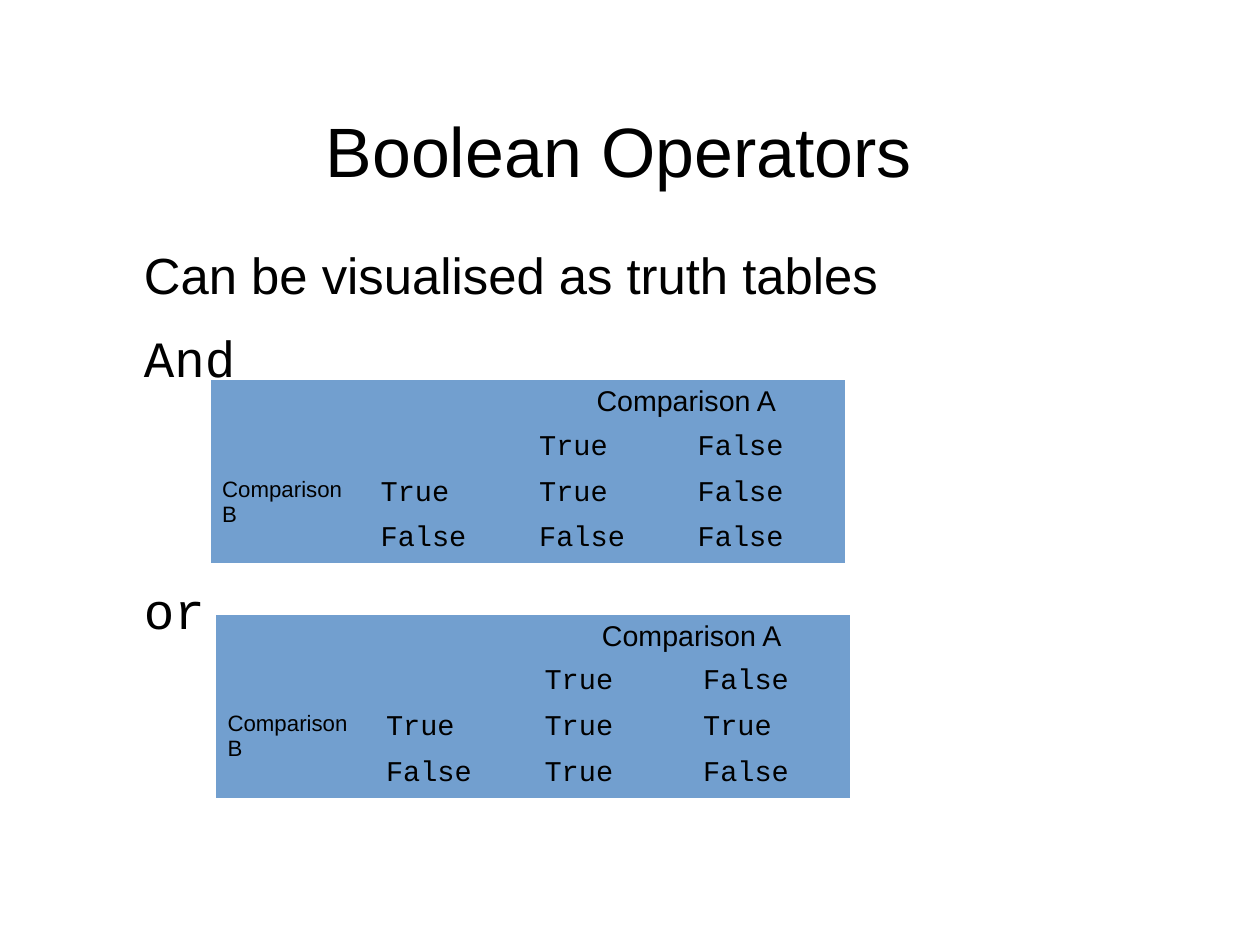
from dataclasses import dataclass

from pptx import Presentation
from pptx.dml.color import RGBColor
from pptx.enum.text import MSO_ANCHOR, PP_ALIGN
from pptx.util import Cm, Pt

CENTER, LEFT = PP_ALIGN.CENTER, PP_ALIGN.LEFT
TOP, MIDDLE = MSO_ANCHOR.TOP, MSO_ANCHOR.MIDDLE
SLIDE_W, SLIDE_H = Cm(28), Cm(21)
TITLE_ONLY = 5
NO_GRID_STYLE = "{2D5ABB26-0587-4C30-8999-92F81FD0307C}"


@dataclass(frozen=True)
class Theme:
    text: RGBColor = RGBColor(0, 0, 0)
    cell: RGBColor = RGBColor(0x72, 0x9F, 0xCF)
    sans: str = "Arial"
    mono: str = "Courier New"
    title_size: int = 44
    body_size: int = 32
    cell_size: int = 18
    side_size: int = 14


@dataclass(frozen=True)
class Box:
    """Area in percent of the slide's width and height."""
    left: float
    top: float
    width: float
    height: float

    def emu(self) -> tuple[int, int, int, int]:
        return (int(SLIDE_W * self.left / 100), int(SLIDE_H * self.top / 100),
                int(SLIDE_W * self.width / 100), int(SLIDE_H * self.height / 100))


@dataclass(frozen=True)
class BodyLine:
    text: str
    font: str
    space_before: float


@dataclass(frozen=True)
class TruthTable:
    box: Box
    results: tuple[tuple[bool, ...], ...]


THEME = Theme()
VALUES = (True, False)
TABLE_W, TABLE_H = 50.33, 19.35
TITLE_BOX = Box(7.17, 9.07, 83.94, 13.54)
BODY_BOX = Box(11.43, 25.75, 81.67, 50.4)

BODY = (
    BodyLine("Can be visualised as truth tables", THEME.sans, 0),
    BodyLine("And", THEME.mono, 14.1),
    BodyLine("or", THEME.mono, 120.2),
)
TABLES = (
    TruthTable(Box(17.15, 65.03, TABLE_W, TABLE_H),
               tuple(tuple(a or b for a in VALUES) for b in VALUES)),
    TruthTable(Box(16.72, 40.22, TABLE_W, TABLE_H),
               tuple(tuple(a and b for a in VALUES) for b in VALUES)),
)


def style(p, font: str, size: float, align=LEFT) -> None:
    p.alignment = align
    for r in p.runs:
        r.font.name, r.font.size = font, Pt(size)
        r.font.color.rgb = THEME.text


def set_frame(tf, anchor) -> None:
    tf.word_wrap = True
    tf.vertical_anchor = anchor
    tf.margin_left = tf.margin_top = tf.margin_right = tf.margin_bottom = 0


def add_title(slide, text: str) -> None:
    sp = slide.shapes.title
    sp.left, sp.top, sp.width, sp.height = TITLE_BOX.emu()
    set_frame(sp.text_frame, MIDDLE)
    sp.text_frame.text = text
    style(sp.text_frame.paragraphs[0], THEME.sans, THEME.title_size, CENTER)


def add_body(slide, lines: tuple[BodyLine, ...]) -> None:
    tf = slide.shapes.add_textbox(*BODY_BOX.emu()).text_frame
    set_frame(tf, TOP)
    tf.text = "\n".join(line.text for line in lines)
    for p, line in zip(tf.paragraphs, lines):
        p.space_before = Pt(line.space_before)
        style(p, line.font, THEME.body_size)


def fill_cell(cell, text: str, font: str = THEME.mono,
              size: int = THEME.cell_size, align=LEFT) -> None:
    cell.text = text
    style(cell.text_frame.paragraphs[0], font, size, align)


def add_truth_table(slide, truth_table: TruthTable) -> None:
    table = slide.shapes.add_table(4, 4, *truth_table.box.emu()).table
    table.first_row = table.horz_banding = False
    table._tbl.tblPr[0].text = NO_GRID_STYLE
    for cell in table.iter_cells():
        cell.fill.solid()
        cell.fill.fore_color.rgb = THEME.cell

    # Headings for both comparisons
    table.cell(0, 0).merge(table.cell(1, 1))
    table.cell(0, 2).merge(table.cell(0, 3))
    table.cell(2, 0).merge(table.cell(3, 0))
    fill_cell(table.cell(0, 2), "Comparison A", THEME.sans, align=CENTER)
    fill_cell(table.cell(2, 0), "Comparison B", THEME.sans, THEME.side_size)

    # Operand values and results
    for i, value in enumerate(VALUES, start=2):
        fill_cell(table.cell(1, i), str(value))
        fill_cell(table.cell(i, 1), str(value))
        for j, result in enumerate(truth_table.results[i - 2], start=2):
            fill_cell(table.cell(i, j), str(result))


def main() -> None:
    prs = Presentation()
    prs.slide_width = SLIDE_W
    prs.slide_height = SLIDE_H
    slide = prs.slides.add_slide(prs.slide_layouts[TITLE_ONLY])
    add_title(slide, "Boolean Operators")
    add_body(slide, BODY)
    for truth_table in TABLES:
        add_truth_table(slide, truth_table)
    prs.save("out.pptx")


if __name__ == "__main__":
    main()
